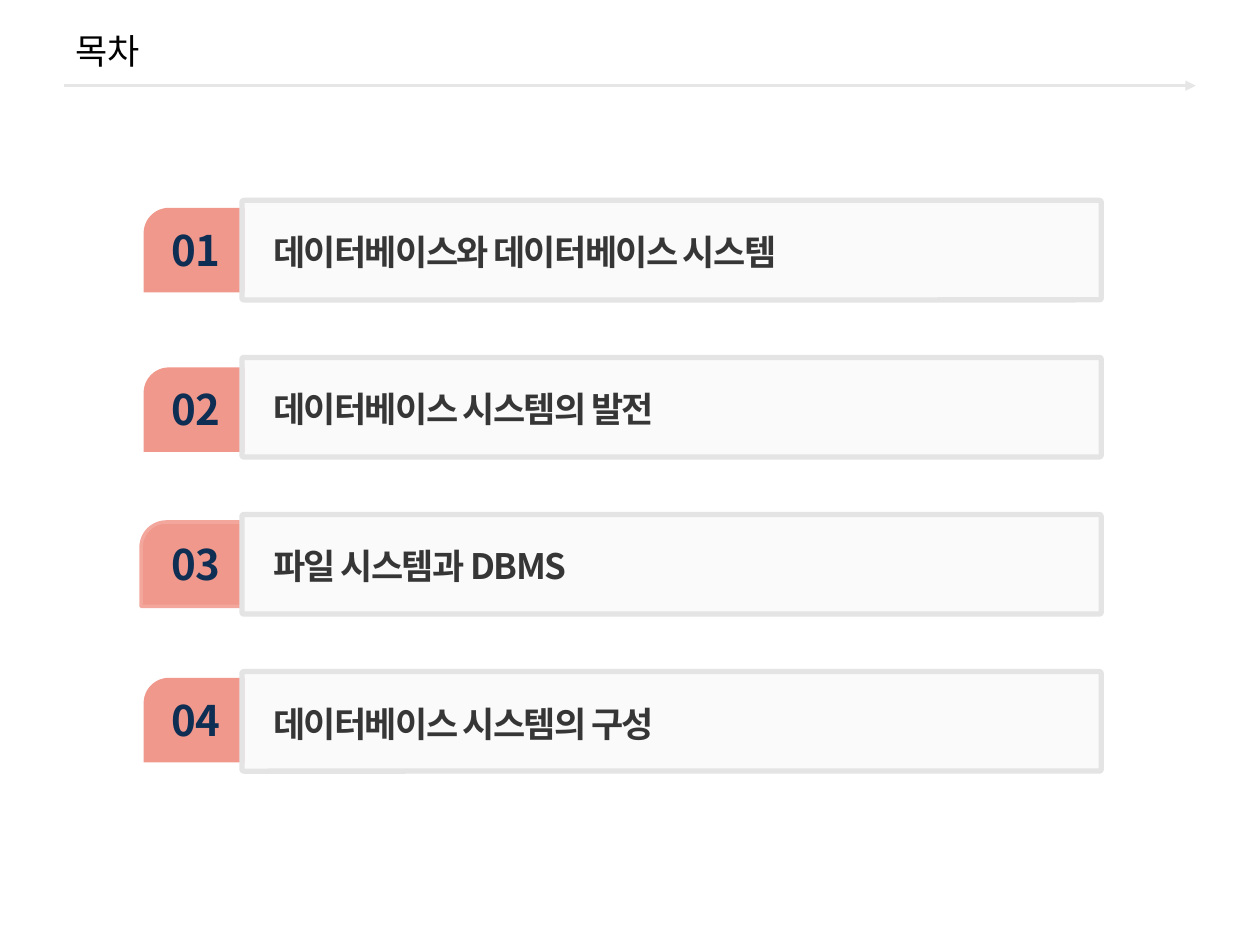
from pptx import Presentation
from pptx.dml.color import RGBColor
from pptx.enum.shapes import MSO_CONNECTOR, MSO_SHAPE
from pptx.enum.text import MSO_ANCHOR, MSO_AUTO_SIZE, PP_ALIGN
from pptx.oxml.ns import qn
from pptx.util import Inches, Pt
from lxml.etree import SubElement

FONT = "Noto Sans CJK KR"
BLACK = RGBColor(0x00, 0x00, 0x00)
NAVY = RGBColor(0x0F, 0x2E, 0x53)
CHARCOAL = RGBColor(0x36, 0x36, 0x36)
CORAL = RGBColor(0xF0, 0x98, 0x8C)
LIGHT_CORAL = RGBColor(0xF2, 0xA6, 0x9C)
PANEL_FILL = RGBColor(0xF2, 0xF2, 0xF2)
PANEL_LINE = RGBColor(0xE4, 0xE4, 0xE4)
RULE_GRAY = RGBColor(0xE6, 0xE6, 0xE6)

# topic, drop of the number tab below the panel top, whether the tab is outlined
TOPICS = [
    ("데이터베이스와 데이터베이스 시스템", 0.06, False),
    ("데이터베이스 시스템의 발전", 0.08, False),
    ("파일 시스템과 DBMS", 0.06, True),
    ("데이터베이스 시스템의 구성", 0.05, False),
]
FIRST_TOP, LAST_TOP = 1.59, 5.33


def add_text(shapes, box, text, size, color, bold=False, wrap=True):
    """Add a one-paragraph text box and return its shape and paragraph."""
    label = shapes.add_textbox(*map(Inches, box))
    frame = label.text_frame
    frame.word_wrap = wrap
    para = frame.paragraphs[0]
    para.text = text
    font = para.font
    font.size, font.bold, font.name = Pt(size), bold, FONT
    font.color.rgb = color
    properties = para._p.pPr.find(qn("a:defRPr"))
    SubElement(properties, qn("a:ea"), typeface=FONT)
    return label, para


def add_block(shapes, kind, box, adjustments, fill, line=None, width=0):
    block = shapes.add_shape(kind, *map(Inches, box))
    block.shadow.inherit = False
    for index, value in enumerate(adjustments):
        block.adjustments[index] = value
    block.fill.solid()
    block.fill.fore_color.rgb = fill
    if line is None:
        block.line.fill.background()
    else:
        block.line.color.rgb = line
        block.line.width = Pt(width)
    return block


def add_header(page, left, top, width, height):
    title, _ = add_text(page.shapes, (left, top, width, height), "목차", 20, BLACK)
    title.text_frame.vertical_anchor = MSO_ANCHOR.MIDDLE
    rule_y = Inches(top + 0.6)
    rule = page.shapes.add_connector(
        MSO_CONNECTOR.STRAIGHT,
        Inches(left + 0.01), rule_y, Inches(left + width - 0.01), rule_y)
    rule.line.color.rgb = RULE_GRAY
    rule.line.width = Pt(1.5)
    SubElement(rule.line._get_or_add_ln(), qn("a:tailEnd"), type="triangle")
    SubElement(rule._element.spPr, qn("a:effectLst"))


def add_topic(page, left, top, width, height, number, topic, tab_drop, outlined):
    shapes = page.shapes.add_group_shape().shapes
    tab_top = top + tab_drop
    tab_left = left - (0.8 if outlined else 0.78)
    add_block(shapes, MSO_SHAPE.SNIP_ROUND_RECTANGLE, (tab_left, tab_top, 0.8, 0.67),
              (0.3, 0), CORAL, LIGHT_CORAL if outlined else None, 2)
    _, para = add_text(shapes, (left - 0.66, tab_top + 0.08, 0.59, 0.5),
                       f"{number:02}", 24, NAVY, bold=True, wrap=False)
    para.alignment = PP_ALIGN.CENTER

    panel = add_block(shapes, MSO_SHAPE.ROUNDED_RECTANGLE, (left, top, width, height),
                      (0.02,), PANEL_FILL, PANEL_LINE, 3)
    color = panel.fill._xPr.find(qn("a:solidFill"))[0]
    SubElement(color, qn("a:alpha"), val="33000")

    label, para = add_text(shapes, (left + 0.15, top + 0.16, 5.28, 0.44),
                           topic, 20, CHARCOAL, bold=True)
    label.text_frame.auto_size = MSO_AUTO_SIZE.SHAPE_TO_FIT_TEXT
    para.line_spacing = 1.1
    para.space_before, para.space_after = Pt(18), Pt(3)
    para._p.pPr.find(qn("a:defRPr")).set("spc", "-100")


def main():
    deck = Presentation()
    deck.slide_width, deck.slide_height = Inches(10), Inches(7.5)
    page = deck.slides.add_slide(deck.slide_layouts[6])
    add_header(page, 0.5, 0.08, 9, 0.64)
    pitch = (LAST_TOP - FIRST_TOP) / (len(TOPICS) - 1)
    for index, (topic, tab_drop, outlined) in enumerate(TOPICS):
        add_topic(page, 1.92, FIRST_TOP + index * pitch, 6.82, 0.79,
                  index + 1, topic, tab_drop, outlined)
    deck.save("out.pptx")


if __name__ == "__main__":
    main()
